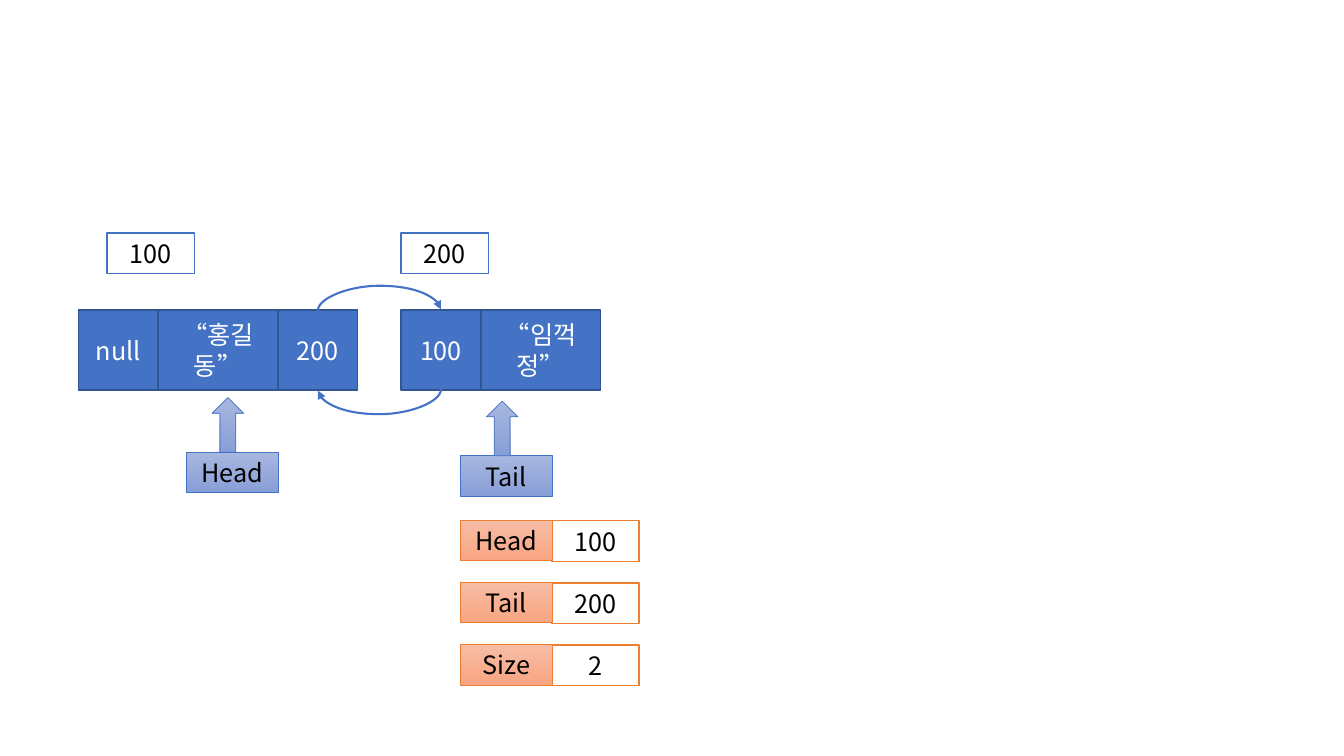
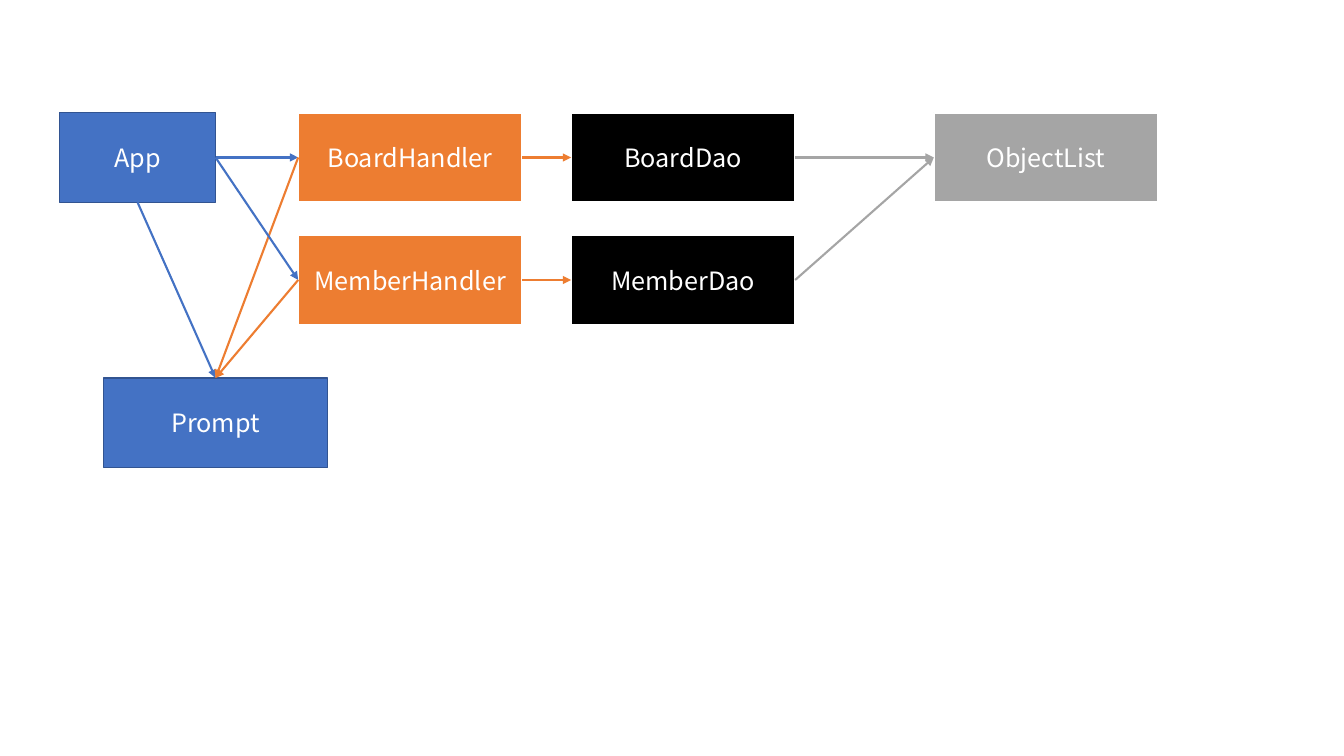
from pptx import Presentation
from pptx.dml.color import RGBColor
from pptx.enum.shapes import MSO_CONNECTOR, MSO_SHAPE
from pptx.enum.text import MSO_ANCHOR, PP_ALIGN
from pptx.oxml import parse_xml
from pptx.oxml.ns import nsdecls, qn
from pptx.util import Pt

FONT = "Noto Sans CJK KR"
HUES = {
    "blue": "4472C4", "navy": "325491", "orange": "ED7D31", "gray": "A5A5A5",
    "black": "000000", "white": "FFFFFF",
    "sky": "A8B7DF", "dusk": "889ED7", "peach": "F7BDA5", "coral": "F8A582",
}
TOP, LEFT, BOTTOM, RIGHT = range(4)
TAG_W, VAL_W, TAG_H = 65.5, 62.5, 29
CELL, NAME = 57, 85.5


def hue(name):
    return RGBColor.from_string(HUES[name])


def paint(fill, names):
    """One name gives a solid fill, two give a gradient from top to bottom."""
    if len(names) == 1:
        fill.solid()
        fill.fore_color.rgb = hue(names[0])
        return
    fill.gradient()
    fill.gradient_angle = 270
    for stop, name, place in zip(fill.gradient_stops, names, (0, 1)):
        stop.color.rgb = hue(name)
        stop.position = place


def write(shape, text, ink):
    frame = shape.text_frame
    frame.text = text
    frame.word_wrap = True
    frame.vertical_anchor = MSO_ANCHOR.MIDDLE
    para = frame.paragraphs[0]
    para.alignment = PP_ALIGN.CENTER
    for run in para.runs:
        font = run.font
        font.name, font.size = FONT, Pt(18)
        font.color.rgb = hue(ink)
        run._r.get_or_add_rPr().append(
            parse_xml(f'<a:ea {nsdecls("a")} typeface="{FONT}"/>'))


def block(page, box, fill, edge, text="", ink="white", wide=1,
          kind=MSO_SHAPE.RECTANGLE):
    shape = page.shapes.add_shape(kind, *map(Pt, box))
    shape.shadow.inherit = False
    paint(shape.fill, fill.split())
    shape.line.color.rgb = hue(edge)
    shape.line.width = Pt(wide)
    if text:
        write(shape, text, ink)
    return shape


def link(page, start, out, end, into, color, kind=MSO_CONNECTOR.STRAIGHT):
    line = page.shapes.add_connector(kind, 0, 0, 0, 0)
    line.begin_connect(start, out)
    line.end_connect(end, into)
    line.line.color.rgb = hue(color)
    line.line.width = Pt(1.5)
    props = line._element.spPr
    props.find(qn("a:ln")).append(
        parse_xml(f'<a:tailEnd {nsdecls("a")} type="triangle"/>'))
    props.append(parse_xml(f'<a:effectLst {nsdecls("a")}/>'))
    return line


def arc(page, start, end, side):
    """Curve that leaves and enters two cells on the same side."""
    line = link(page, start, side, end, side, "blue", MSO_CONNECTOR.CURVE)
    mid = (line.begin_x + line.end_x) // 2
    level = (line.begin_y + line.end_y) // 2
    span, thin, depth = abs(line.end_x - line.begin_x), Pt(1), 18
    # A thin upright frame, turned a quarter, lets the curve bulge outward
    line.left, line.top = mid - thin // 2, level - span // 2
    line.width, line.height = thin, span
    props = line._element.spPr
    frame = props.find(qn("a:xfrm"))
    frame.set("rot", "5400000")
    for flip in ("flipH", "flipV"):
        frame.set(flip, "1" if side == TOP else "0")
    geom = props.find(qn("a:prstGeom"))
    for old in list(geom):
        geom.remove(old)
    geom.append(parse_xml(
        f'<a:avLst {nsdecls("a")}><a:gd name="adj1" '
        f'fmla="val {depth * 100000}"/></a:avLst>'))


def node(page, x, y, parts):
    """Row of cells; returns them in order."""
    cells = []
    for text, width in parts:
        cells.append(block(page, (x, y, width, CELL), "blue", "navy", text))
        x += width
    return cells


def label(page, x, y, text):
    block(page, (x, y, VAL_W, TAG_H), "white", "blue", text, "black")


def pointer(page, x, y, text):
    """Name tag below an arrow that points up."""
    block(page, (x, y + 39, TAG_W, TAG_H), "sky dusk", "blue", text, "black", 0.5)
    block(page, (x + 18.5, y, 22.5, 39), "sky dusk", "blue", wide=0.5,
          kind=MSO_SHAPE.UP_ARROW)


def field(page, x, y, name, value):
    """Tag with its value on the right."""
    block(page, (x + 65, y + 0.5, VAL_W, TAG_H), "white", "orange", value, "black")
    block(page, (x, y, TAG_W, TAG_H), "peach coral", "orange", name, "black", 0.5)


def list_page(page):
    # Nodes and their addresses
    first = node(page, 56, 221.5, [("null", CELL), ("“홍길동”", NAME), ("200", CELL)])
    last = node(page, 286.5, 221.5, [("100", CELL), ("“임꺽정”", NAME)])
    label(page, 76.5, 166.5, "100")
    label(page, 286.5, 166.5, "200")
    # Links both ways
    arc(page, last[0], first[-1], BOTTOM)
    arc(page, first[-1], last[0], TOP)
    # Pointers
    pointer(page, 133, 284, "Head")
    pointer(page, 329, 286.5, "Tail")
    # List fields
    for row, pair in enumerate([("Head", "100"), ("Tail", "200"), ("Size", "2")]):
        field(page, 329, 371.5 + row * 44.4, *pair)


def class_page(page):
    wide, high, top, step = 160, 64, 80.5, 87.5

    def box(x, row, fill, text):
        return block(page, (x, top + row * step, wide, high), fill, "white",
                     text, wide=1.5)

    # Classes
    app = block(page, (42.5, top, 111.5, high), "blue", "navy", "App")
    hands = [box(213, row, "orange", name + "Handler")
             for row, name in enumerate(("Board", "Member"))]
    daos = [box(408, row, "black", name + "Dao")
            for row, name in enumerate(("Board", "Member"))]
    store = box(667, 0, "gray", "ObjectList")
    prompt = block(page, (74, 270, wide, high), "blue", "navy", "Prompt")
    # Uses
    link(page, app, BOTTOM, prompt, TOP, "blue")
    for hand, dao in zip(hands, daos):
        link(page, app, RIGHT, hand, LEFT, "blue")
        link(page, hand, LEFT, prompt, TOP, "orange")
        link(page, hand, RIGHT, dao, LEFT, "orange")
        link(page, dao, RIGHT, store, LEFT, "gray")


def main():
    deck = Presentation()
    deck.slide_width, deck.slide_height = Pt(960), Pt(540)
    blank = deck.slide_layouts[6]
    for draw in (list_page, class_page):
        draw(deck.slides.add_slide(blank))
    deck.save("out.pptx")


if __name__ == "__main__":
    main()
